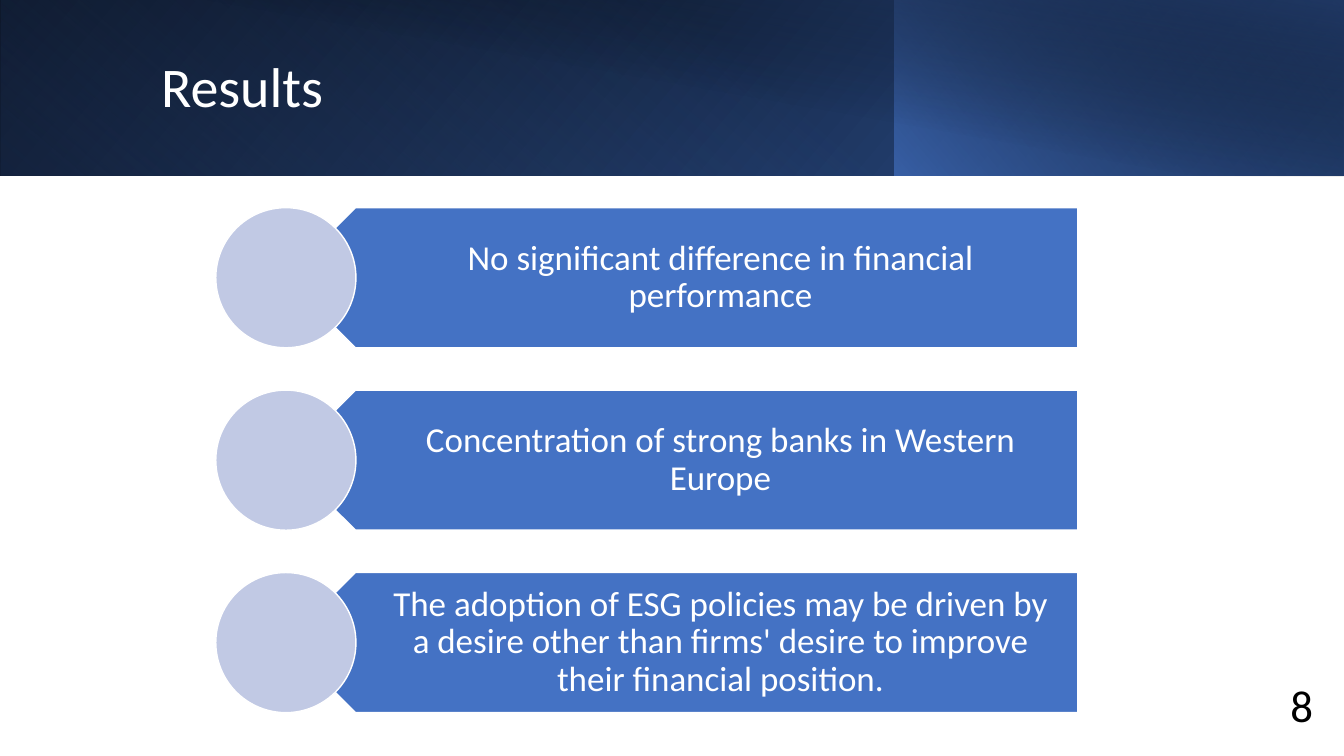
from lxml import etree
from pptx import Presentation
from pptx import util as u
from pptx.dml.color import RGBColor
from pptx.enum import shapes, text
from pptx.oxml import ns

COLORS = {
    "white": "FFFFFF",
    "black": "000000",
    "accent": "4472C4",
    "blue": "2F5597",
    "navy": "203864",
    "circle": "C1C9E4",
}
FONT = "Calibri"
WIDTH, HEIGHT = 13.33, 7.5
BANNER_HEIGHT = 1.74
RESULTS = [
    "No significant difference in financial performance",
    "Concentration of strong banks in Western Europe",
    "The adoption of ESG policies may be driven by a desire other than "
    "firms' desire to improve their financial position.",
]
ROW_TOP, ROW_PITCH, ROW_HEIGHT = 2.06, 1.81, 1.39


class SlideBuilder:
    def __init__(self, slide):
        self.slide = slide

    def color(self, name):
        return RGBColor.from_string(COLORS[name])

    def shape(self, kind, box, rotation=0):
        shape = self.slide.shapes.add_shape(kind, *map(u.Inches, box))
        shape.shadow.inherit = False
        shape.rotation = rotation
        return shape

    def outlined(self, kind, box, fill, rotation=0):
        shape = self.shape(kind, box, rotation)
        shape.fill.solid()
        shape.fill.fore_color.rgb = self.color(fill)
        shape.line.color.rgb = self.color("white")
        shape.line.width = u.Pt(1)

    def gradient(self, box, stops, angle, rotation=0, flip=True):
        shape = self.shape(shapes.MSO_SHAPE.RECTANGLE, box, rotation)
        shape.line.fill.background()
        shape.fill.background()
        properties = shape._element.spPr
        if flip:
            properties.find(ns.qn("a:xfrm")).set("flipH", "1")
        gradient = etree.Element(ns.qn("a:gradFill"), rotWithShape="1")
        stop_list = etree.SubElement(gradient, ns.qn("a:gsLst"))
        for position, name, opacity in stops:
            stop = etree.SubElement(stop_list, ns.qn("a:gs"), pos=str(position * 1000))
            color = etree.SubElement(stop, ns.qn("a:srgbClr"), val=COLORS[name])
            etree.SubElement(color, ns.qn("a:alpha"), val=str(opacity * 1000))
        etree.SubElement(gradient, ns.qn("a:lin"), ang=str(angle * 60000), scaled="0")
        properties.replace(properties.find(ns.qn("a:noFill")), gradient)

    def text(self, box, wording, size, color="white", align=text.PP_ALIGN.LEFT,
             anchor=text.MSO_ANCHOR.MIDDLE, insets=(0.1, 0.05, 0.1, 0.05),
             spacing=0.9, wrap=True):
        frame = self.slide.shapes.add_textbox(*map(u.Inches, box)).text_frame
        frame.word_wrap = wrap
        frame.vertical_anchor = anchor
        (frame.margin_left, frame.margin_top,
         frame.margin_right, frame.margin_bottom) = map(u.Inches, insets)
        paragraph = frame.paragraphs[0]
        paragraph.alignment = align
        paragraph.line_spacing = spacing
        run = paragraph.add_run()
        run.text = wording
        run.font.name = FONT
        run.font.size = u.Pt(size)
        run.font.color.rgb = self.color(color)

    def banner(self):
        self.gradient((0, 0, WIDTH, BANNER_HEIGHT),
                      [(0, "black", 100), (100, "blue", 100)], 140)
        self.gradient((0, 0, 8.88, BANNER_HEIGHT),
                      [(20, "accent", 0), (100, "navy", 55)], 230, rotation=180)
        self.gradient((8.87, 0, 4.46, BANNER_HEIGHT),
                      [(0, "accent", 66), (100, "black", 30)], 220)
        self.gradient((0.5, 0, 12.83, 1.75),
                      [(50, "black", 0), (99, "navy", 52)], 280, flip=False)

    def result(self, top, wording):
        self.outlined(shapes.MSO_SHAPE.PENTAGON, (2.83, top, 7.86, ROW_HEIGHT),
                      "accent", rotation=180)
        self.text((3.18, top, 7.51, ROW_HEIGHT), wording, 25,
                  align=text.PP_ALIGN.CENTER, insets=(0.61, 0.1, 0.19, 0.1))
        self.outlined(shapes.MSO_SHAPE.OVAL, (2.14, top, ROW_HEIGHT, ROW_HEIGHT), "circle")


def main():
    presentation = Presentation()
    presentation.slide_width = u.Inches(WIDTH)
    presentation.slide_height = u.Inches(HEIGHT)
    builder = SlideBuilder(presentation.slides.add_slide(presentation.slide_layouts[6]))
    builder.banner()
    builder.text((1.5, 0.32, 10.82, 1.13), "Results", 40)
    for index, wording in enumerate(RESULTS):
        builder.result(ROW_TOP + index * ROW_PITCH, wording)
    builder.text((12.7, 6.67, 0.43, 0.64), "8", 32, color="black",
                 anchor=text.MSO_ANCHOR.TOP, spacing=1.0, wrap=False)
    presentation.save("out.pptx")


if __name__ == "__main__":
    main()
